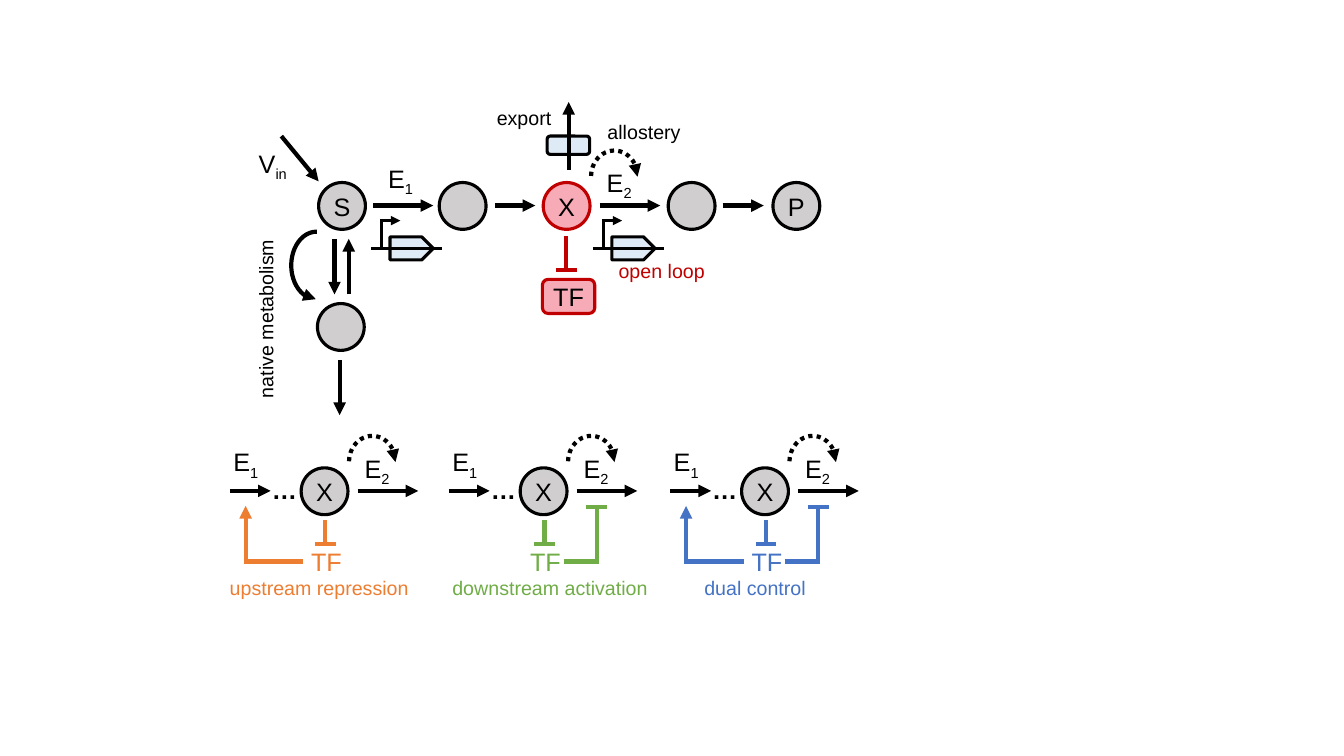
from dataclasses import dataclass
from lxml.etree import SubElement
from pptx import Presentation
from pptx.dml.color import RGBColor
from pptx.enum.dml import MSO_LINE
from pptx.enum.shapes import MSO_CONNECTOR, MSO_SHAPE
from pptx.enum.text import MSO_ANCHOR, MSO_AUTO_SIZE, PP_ALIGN
from pptx.oxml.ns import qn
from pptx.util import Cm, Pt


@dataclass(frozen=True)
class Theme:
    black: str = "000000"
    grey: str = "D0CECE"
    pale_blue: str = "DEEBF7"
    pink: str = "F6ABB7"
    red: str = "C00000"
    orange: str = "ED7D31"
    green: str = "70AD47"
    blue: str = "4472C4"
    font: str = "Arial"
    symbol: float = 18
    caption: float = 14
    thin: float = 2.25
    thick: float = 3


T = Theme()


def outline(s, color, width, end=None):
    s.line.color.rgb = RGBColor.from_string(color)
    s.line.width = Pt(width)
    if end:
        SubElement(s.line._get_or_add_ln(), qn(f"a:{end}")).set("type", "triangle")


def write(tf, text, sub, size, color):
    tf.word_wrap = False
    p = tf.paragraphs[0]
    for part, baseline in ((text, None), (sub, "-25000")):
        if part:
            r = p.add_run()
            r.text = part
            r.font.name = T.font
            r.font.size = Pt(size)
            r.font.bold = part == "…"
            r.font.color.rgb = RGBColor.from_string(color)
            if baseline:
                r._r.get_or_add_rPr().set("baseline", baseline)
    return p


prs = Presentation()
prs.slide_width, prs.slide_height = Cm(33.87), Cm(19.05)
shapes = prs.slides.add_slide(prs.slide_layouts[6]).shapes

NODE = 1.18
ROW_Y, X_LEFT = 4.6, 13.69

solids = [
    (MSO_SHAPE.OVAL, x, y, NODE, NODE, T.grey, T.black, text)
    for x, y, text in (
        (8.03, ROW_Y, "S"),
        (11.07, ROW_Y, ""),
        (16.84, ROW_Y, ""),
        (19.48, ROW_Y, "P"),
        (8, 7.65, ""),
    )
]
solids += [
    (MSO_SHAPE.OVAL, X_LEFT, ROW_Y, NODE, NODE, T.pink, T.red, "X"),
    (MSO_SHAPE.ROUNDED_RECTANGLE, 13.79, 3.43, 1.07, 0.46, T.pale_blue, T.black, ""),
    (MSO_SHAPE.ROUNDED_RECTANGLE, 13.67, 7.04, 1.32, 0.86, T.pink, T.red, "TF"),
]

arrows = [
    (7.09, 3.43, 8.03, 4.57),
    (8.43, 6.02, 8.43, 7.42),
    (8.79, 7.42, 8.79, 6.02),
    (8.56, 9.07, 8.56, 10.46),
    (14.33, 4.29, 14.33, 2.57),
]
arrows += [(x1, 5.18, x2, 5.18) for x1, x2 in
           ((9.4, 10.92), (12.47, 13.49), (15.11, 16.64), (18.21, 19.25))]
lines = [(*a, T.black, T.thick, "tailEnd") for a in arrows]
lines += [
    (14.27, 6.76, 14.27, 5.94, T.red, T.thick, None),
    (14.02, 6.81, 14.53, 6.81, T.red, T.thick, None),
]

arcs = [
    (7.34, 5.84, 1.27, 1.7, 0, "headEnd", None),
    (X_LEFT + 1.14, 3.86, 1.3, 1.17, 90, "tailEnd", MSO_LINE.ROUND_DOT),
]

labels = [
    ("V", "in", 6.27, 3.61, 1.27, T.symbol, T.black, 0),
    ("E", "1", 9.53, 3.99, 1.17, T.symbol, T.black, 0),
    ("E", "2", 15.04, 4.09, 1.17, T.symbol, T.black, 0),
    ("export", "", 12.27, 2.54, 1.9, T.caption, T.black, 0),
    ("allostery", "", 15.06, 2.9, 2.36, T.caption, T.black, 0),
    ("open loop", "", 15.34, 6.4, 2.69, T.caption, T.red, 0),
    ("native metabolism", "", 4.44, 7.59, 4.52, T.caption, T.black, 270),
]

for x in (9.35, 14.94):
    solids.append((MSO_SHAPE.PENTAGON, x + 0.48, 5.97, 1.09, 0.58, T.pale_blue, T.black, ""))
    lines += [
        (x, 6.27, x + 1.8, 6.27, T.black, T.thin, None),
        (x + 0.26, 5.56, x + 0.26, 6.27, T.black, T.thin, None),
        (x + 0.23, 5.56, x + 0.74, 5.56, T.black, T.thin, "tailEnd"),
    ]

controls = [
    (7.59, T.orange, "upstream repression", 5.54, 5.03, True, False),
    (13.11, T.green, "downstream activation", 11.15, 5.46, False, True),
    (18.69, T.blue, "dual control", 17.5, 3.07, True, True),
]
for x, color, caption, caption_x, caption_w, upstream, downstream in controls:
    solids.append((MSO_SHAPE.OVAL, x, 11.79, NODE, NODE, T.grey, T.black, "X"))
    arcs.append((x + 1.14, 11.05, 1.3, 1.17, 90, "tailEnd", MSO_LINE.ROUND_DOT))
    lines += [
        (x - 1.8, 12.37, x - 0.77, 12.37, T.black, T.thick, "tailEnd"),
        (x + 1.42, 12.37, x + 2.95, 12.37, T.black, T.thick, "tailEnd"),
        (x + 0.61, 13.67, x + 0.61, 13.11, color, T.thick, None),
        (x + 0.35, 13.7, x + 0.87, 13.7, color, T.thick, None),
    ]
    if upstream:
        lines += [
            (x - 1.4, 14.2, x - 1.4, 12.75, color, T.thick, "tailEnd"),
            (x + 0.05, 14.15, x - 1.4, 14.15, color, T.thick, None),
        ]
    if downstream:
        lines += [
            (x + 1.93, 14.2, x + 1.93, 12.75, color, T.thick, None),
            (x + 1.67, 12.78, x + 2.19, 12.78, color, T.thick, None),
            (x + 1.93, 14.15, x + 1.1, 14.15, color, T.thick, None),
        ]
    labels += [
        ("E", "1", x - 1.96, 11.13, 1.17, T.symbol, T.black, 0),
        ("E", "2", x + 1.35, 11.29, 1.17, T.symbol, T.black, 0),
        ("…", "", x - 0.99, 11.84, 1.14, T.symbol, T.black, 0),
        ("TF", "", x, 13.64, 1.3, T.symbol, color, 0),
        (caption, "", caption_x, 14.4, caption_w, T.caption, color, 0),
    ]

for kind, x, y, w, h, fill, color, text in solids:
    s = shapes.add_shape(kind, Cm(x), Cm(y), Cm(w), Cm(h))
    s.shadow.inherit = False
    s.fill.solid()
    s.fill.fore_color.rgb = RGBColor.from_string(fill)
    outline(s, color, T.thin)
    if text:
        tf = s.text_frame
        tf.margin_left = tf.margin_right = tf.margin_top = tf.margin_bottom = 0
        tf.vertical_anchor = MSO_ANCHOR.MIDDLE
        write(tf, text, "", T.symbol, T.black).alignment = PP_ALIGN.CENTER

for x, y, w, h, angle, end, dash in arcs:
    s = shapes.add_shape(MSO_SHAPE.ARC, Cm(x), Cm(y), Cm(w), Cm(h))
    s.adjustments[0], s.adjustments[1] = 0.91, 2.71
    s.adjustments[0], s.adjustments[1] = 54.6, 162.56
    s.rotation = angle
    s.shadow.inherit = False
    s.fill.background()
    if dash:
        s.line.dash_style = dash
    outline(s, T.black, T.thick, end)

for x1, y1, x2, y2, color, width, end in lines:
    s = shapes.add_connector(MSO_CONNECTOR.STRAIGHT, Cm(x1), Cm(y1), Cm(x2), Cm(y2))
    outline(s, color, width, end)
    SubElement(s._element.spPr, qn("a:effectLst"))

for text, sub, x, y, w, size, color, angle in labels:
    s = shapes.add_textbox(Cm(x), Cm(y), Cm(w), Cm(1.02 if size == T.symbol else 0.86))
    s.rotation = angle
    s.text_frame.auto_size = MSO_AUTO_SIZE.SHAPE_TO_FIT_TEXT
    write(s.text_frame, text, sub, size, color)

prs.save("out.pptx")
